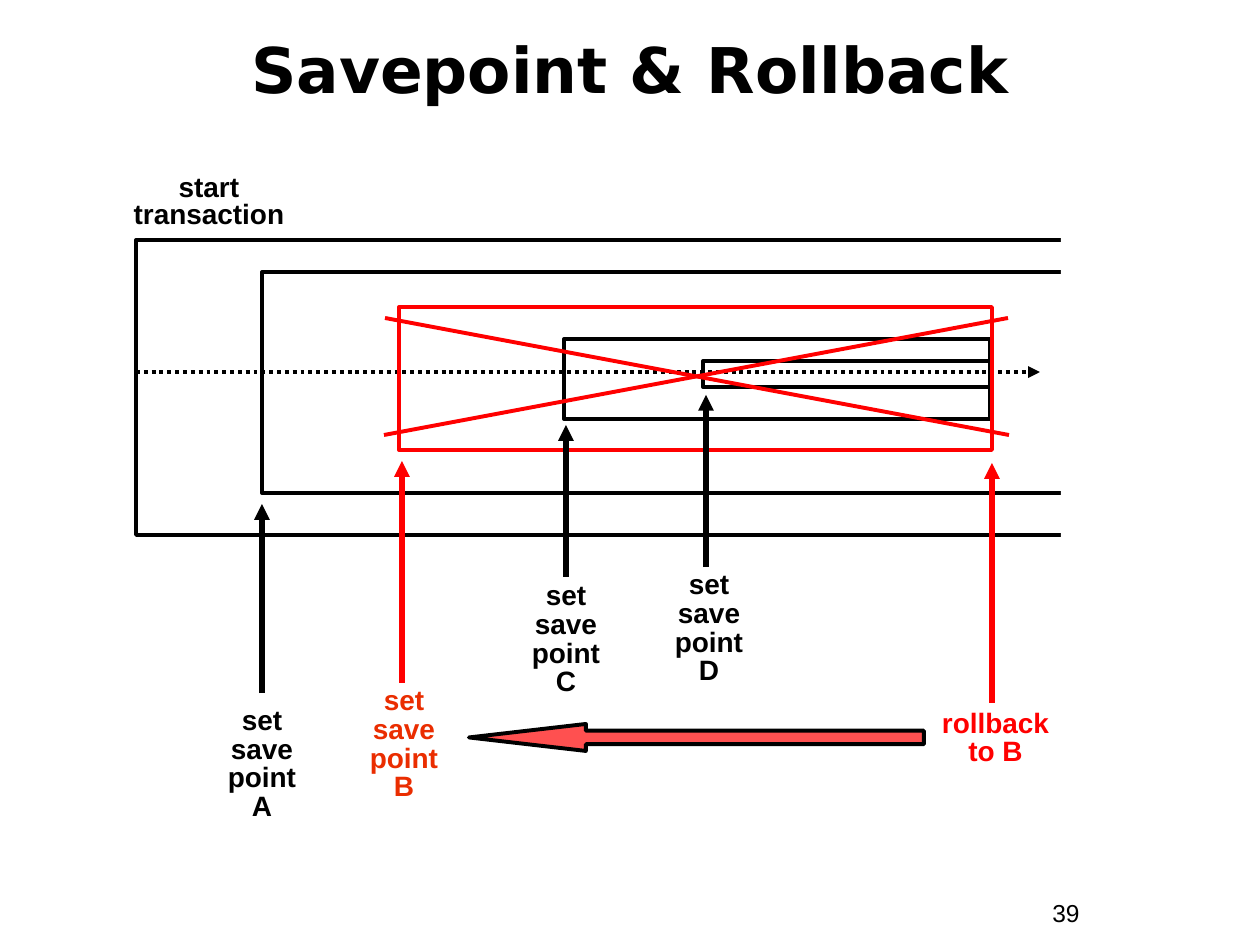
from lxml.etree import SubElement
from pptx import Presentation
from pptx.dml.color import RGBColor
from pptx.enum.dml import MSO_LINE
from pptx.enum.shapes import MSO_CONNECTOR, MSO_SHAPE
from pptx.enum.text import MSO_ANCHOR, PP_ALIGN
from pptx.oxml.ns import qn
from pptx.util import Pt

PX = 914400 / 126
BLACK = RGBColor(0x00, 0x00, 0x00)
WHITE = RGBColor(0xFF, 0xFF, 0xFF)
RED = RGBColor(0xFF, 0x00, 0x00)
ORANGE = RGBColor(0xEA, 0x2D, 0x00)
CORAL = RGBColor(0xFF, 0x50, 0x50)


def px(*lengths):
    return [round(length * PX) for length in lengths]


def add_line(x1, y1, x2, y2, color, width=2.25, arrow=True):
    line = page.shapes.add_connector(MSO_CONNECTOR.STRAIGHT, *px(x1, y1, x2, y2))
    line.line.color.rgb = color
    line.line.width = Pt(width)
    if arrow:
        SubElement(line.line._get_or_add_ln(), qn("a:tailEnd"), type="triangle")
    SubElement(line._element.spPr, qn("a:effectLst"))
    return line


deck = Presentation()
deck.slide_width, deck.slide_height = px(1260, 945)
page = deck.slides.add_slide(deck.slide_layouts[5])

title = page.shapes.title
title.left, title.top, title.width, title.height = px(42, 10, 1176, 116)
title.text_frame.text = "Savepoint & Rollback"
title.text_frame.vertical_anchor = MSO_ANCHOR.MIDDLE
heading = title.text_frame.paragraphs[0]
heading.alignment = PP_ALIGN.CENTER
heading.font.name = "DejaVu Sans"
heading.font.size = Pt(36)
heading.font.bold = True
heading.font.color.rgb = BLACK

time_axis = add_line(136, 372, 1040, 372, BLACK)
time_axis.line.dash_style = MSO_LINE.ROUND_DOT

# Nested scopes, then the cover that leaves the two outer ones open on the right
RECT = MSO_SHAPE.RECTANGLE
shapes = [
    (RECT, (703, 361, 287, 26), None, BLACK),
    (RECT, (136, 240, 987, 295), None, BLACK),
    (RECT, (564, 339, 426, 80), None, BLACK),
    (RECT, (399, 307, 593, 143), None, RED),
    (RECT, (262, 272, 872, 221), None, BLACK),
    (RECT, (1061, 227, 105, 329), WHITE, None),
    (MSO_SHAPE.LEFT_ARROW, (469, 724, 455, 27), CORAL, BLACK),
]
for kind, place, fill, outline in shapes:
    shape = page.shapes.add_shape(kind, *px(*place))
    shape.shadow.inherit = False
    if fill is None:
        shape.fill.background()
    else:
        shape.fill.solid()
        shape.fill.fore_color.rgb = fill
    if outline is None:
        shape.line.fill.background()
    else:
        shape.line.color.rgb = outline
        shape.line.width = Pt(2.25)
    if kind == MSO_SHAPE.LEFT_ARROW:
        shape.adjustments[0] = 0.5
        shape.adjustments[1] = 4.335

# Cross over the work that is rolled back
add_line(384, 435, 1008, 318, RED, arrow=False)
add_line(1009, 435, 385, 318, RED, arrow=False)

for x, bottom, top, color in [
    (262, 693, 504, BLACK),
    (402, 683, 461, RED),
    (566, 577, 425, BLACK),
    (706, 567, 395, BLACK),
    (992, 703, 463, RED),
]:
    add_line(x, bottom, x, top, color, width=3)

labels = [
    (["start\vtransaction"], (116, 170, 186, 67), BLACK, 0.8),
    (["rollback\vto B"], (896, 704, 199, 71), RED, 0.85),
]
for name, left, top, width, color in [
    ("A", 194, 702, 136, BLACK),
    ("B", 336, 682, 136, ORANGE),
    ("C", 517, 577, 98, BLACK),
    ("D", 660, 566, 98, BLACK),
]:
    labels.append((["set", "save\vpoint", name], (left, top, width, 127), color, 0.85))

for lines, place, color, spacing in labels:
    box = page.shapes.add_textbox(*px(*place))
    box.text_frame.word_wrap = True
    box.text_frame.text = "\n".join(lines)
    for para in box.text_frame.paragraphs:
        para.alignment = PP_ALIGN.CENTER
        para.line_spacing = spacing
        para.font.name = "Arial"
        para.font.size = Pt(16)
        para.font.bold = True
        para.font.color.rgb = color

number = page.shapes.add_textbox(*px(1040, 892, 116, 43))
number.text_frame.word_wrap = True
number.text_frame.text = "39"
para = number.text_frame.paragraphs[0]
para.font.name = "Arial"
para.font.size = Pt(14)
para.font.color.rgb = BLACK

deck.save("out.pptx")
